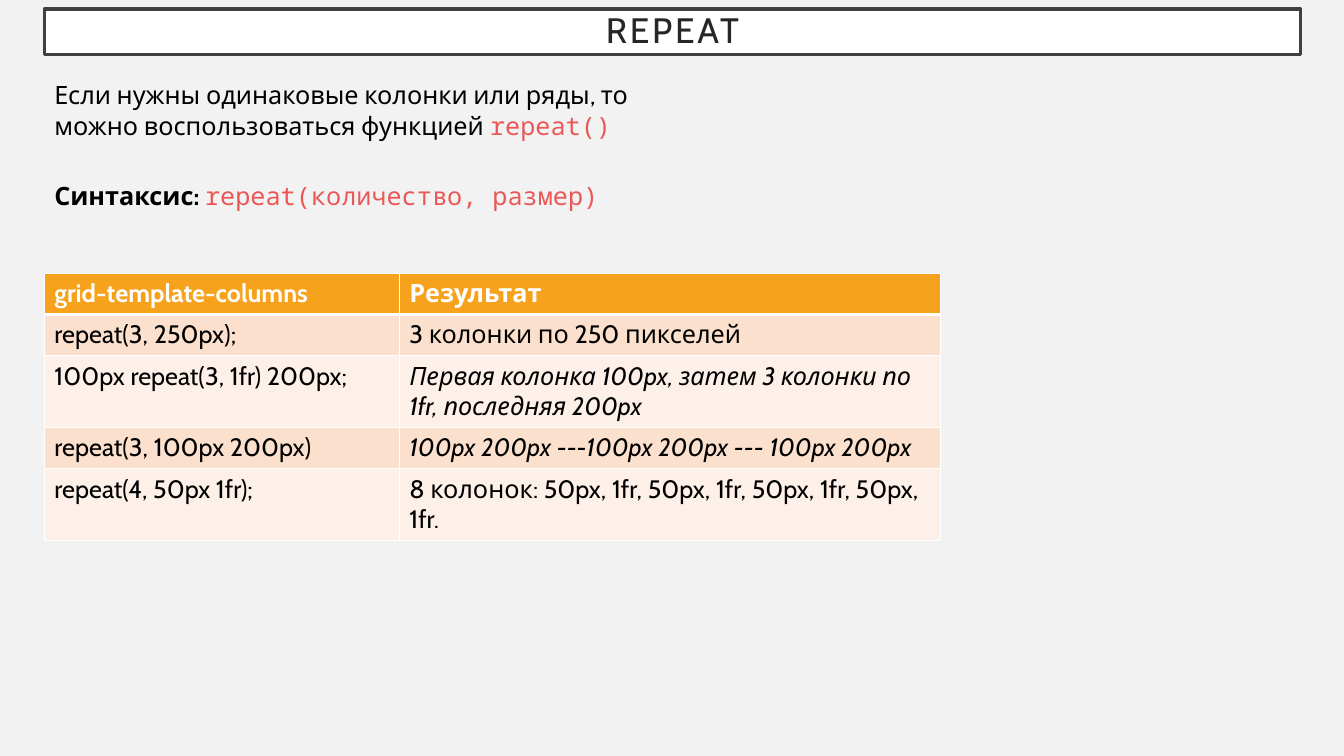
from lxml import etree
from pptx import Presentation
from pptx.dml.color import RGBColor
from pptx.enum.shapes import MSO_SHAPE
from pptx.enum.text import MSO_ANCHOR, PP_ALIGN
from pptx.oxml.ns import qn
from pptx.util import Inches, Pt

RECT = MSO_SHAPE.RECTANGLE
MIDDLE = MSO_ANCHOR.MIDDLE
CENTER = PP_ALIGN.CENTER
WHITE = RGBColor(0xFF, 0xFF, 0xFF)
BLACK = RGBColor(0, 0, 0)
PAPER = RGBColor(0xF2, 0xF2, 0xF2)
FRAME = RGBColor(0x40, 0x40, 0x40)
INK = RGBColor(0x26, 0x26, 0x26)
RED = RGBColor(0xEB, 0x57, 0x57)
ORANGE = RGBColor(0xF6, 0xA2, 0x1D)
BANDS = RGBColor(0xFD, 0xF0, 0xE8), RGBColor(0xFB, 0xE0, 0xCD)
BODY, MONO = "Cabin", "Noto Sans Mono"
CODE = {"font": MONO, "color": RED}
LEFT = 0.44

ROWS = [
    ("grid-template-columns", "Результат"),
    ("repeat(3, 250px);", "3 колонки по 250 пикселей"),
    ("100px repeat(3, 1fr) 200px;",
     "Первая колонка 100px, затем 3 колонки по 1fr, последняя 200px"),
    ("repeat(3, 100px 200px)", "100px 200px ---100px 200px --- 100px 200px"),
    ("repeat(4, 50px 1fr);",
     "8 колонок: 50px, 1fr, 50px, 1fr, 50px, 1fr, 50px, 1fr."),
]
SLANTED = {(2, 1), (3, 1)}


def write(para, text, font=BODY, size=18, color=BLACK, bold=False, italic=False, spacing=0):
    run = para.add_run()
    run.text = text
    face = run.font
    face.name, face.size = font, Pt(size)
    face.bold, face.italic = bold, italic
    face.color.rgb = color
    if spacing:
        run._r.get_or_add_rPr().set("spc", str(spacing * 100))


class Deck:
    """Builds styled elements on a single slide."""

    def __init__(self):
        self.prs = Presentation()
        self.prs.slide_width, self.prs.slide_height = Inches(13.33), Inches(7.5)
        self.slide = self.prs.slides.add_slide(self.prs.slide_layouts[6])
        self.slide.background.fill.solid()
        self.slide.background.fill.fore_color.rgb = PAPER

    def title(self, text, *box):
        shape = self.slide.shapes.add_shape(RECT, *map(Inches, box))
        shape.shadow.inherit = False
        shape.fill.solid()
        shape.fill.fore_color.rgb = WHITE
        shape.line.color.rgb = FRAME
        shape.line.width = Pt(2.5)
        frame = shape.text_frame
        frame.word_wrap = True
        frame.vertical_anchor = MIDDLE
        frame.margin_left = frame.margin_right = Inches(0.2)
        frame.margin_top = frame.margin_bottom = Inches(0.2)
        para = frame.paragraphs[0]
        para.alignment, para.line_spacing = CENTER, 0.9
        write(para, text, size=25.2, color=INK, spacing=2)

    def text(self, runs, *box):
        frame = self.slide.shapes.add_textbox(*map(Inches, box)).text_frame
        frame.word_wrap = True
        for words, style in runs:
            write(frame.paragraphs[0], words, **style)

    def border(self, cell, top, bottom):
        props = cell._tc.get_or_add_tcPr()
        for side, width in zip("LRTB", (1, 1, top, bottom)):
            line = etree.SubElement(props, qn(f"a:ln{side}"), w=str(Pt(width)))
            fill = etree.SubElement(line, qn("a:solidFill"))
            etree.SubElement(fill, qn("a:srgbClr"), val=str(WHITE))

    def table(self, rows, widths, height, left, top):
        box = left, top, sum(widths), height * len(rows)
        table = self.slide.shapes.add_table(
            len(rows), len(widths), *map(Inches, box)).table
        for col, width in zip(table.columns, widths):
            col.width = Inches(width)
        for i, row in enumerate(rows):
            table.rows[i].height = Inches(height)
            head = i == 0
            for j, words in enumerate(row):
                cell = table.cell(i, j)
                self.border(cell, 3 if i == 1 else 1, 3 if head else 1)
                cell.fill.solid()
                cell.fill.fore_color.rgb = ORANGE if head else BANDS[i % 2]
                write(cell.text_frame.paragraphs[0], words, bold=head,
                      color=WHITE if head else BLACK, italic=(i, j) in SLANTED)


def main():
    deck = Deck()
    deck.title("REPEAT", LEFT, 0.09, 12.46, 0.45)
    deck.table(ROWS, (3.52, 5.37), 0.41, LEFT, 2.71)
    deck.text([("Синтаксис: ", {"bold": True}),
               ("repeat(количество, размер)", CODE)], LEFT, 1.74, 6.67, 0.4)
    deck.text([("Если нужны одинаковые колонки или ряды, то можно "
                "воспользоваться функцией ", {}),
               ("repeat()", CODE)], LEFT, 0.74, 6.67, 0.71)
    deck.prs.save("out.pptx")


if __name__ == "__main__":
    main()
